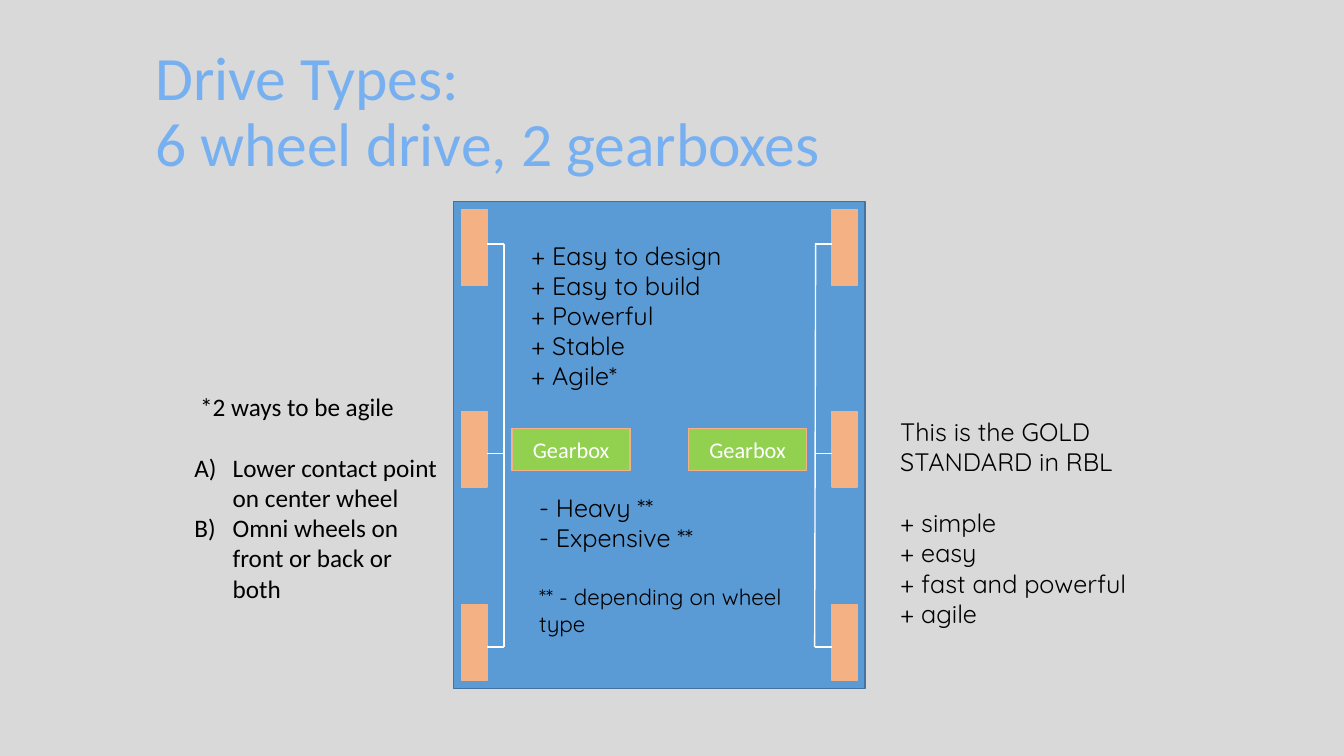
import pptx
import pptx.util
import pptx.dml.color
import pptx.enum.shapes
import pptx.enum.text
import pptx.oxml.ns
import lxml.etree

Inches = pptx.util.Inches
Pt = pptx.util.Pt
RGBColor = pptx.dml.color.RGBColor
Anchor = pptx.enum.text.MSO_ANCHOR
Align = pptx.enum.text.PP_ALIGN
qn = pptx.oxml.ns.qn

GREY = RGBColor(0xD9, 0xD9, 0xD9)
SKY = RGBColor(0x77, 0xB0, 0xF1)
BLUE = RGBColor(0x5B, 0x9B, 0xD5)
NAVY = RGBColor(0x43, 0x73, 0x9E)
PEACH = RGBColor(0xF4, 0xB1, 0x83)
GREEN = RGBColor(0x92, 0xD0, 0x50)
WHITE = RGBColor(0xFF, 0xFF, 0xFF)
BLACK = RGBColor(0x00, 0x00, 0x00)

deck = pptx.Presentation()
deck.slide_width = Inches(13.33)
deck.slide_height = Inches(7.5)
slide = deck.slides.add_slide(deck.slide_layouts[6])
slide.background.fill.solid()
slide.background.fill.fore_color.rgb = GREY
shapes = slide.shapes


def write(para, text, name, size, color):
    para.text = text
    for run in para.runs:
        run.font.color.rgb = color
        for key, value in {"name": name, "size": Pt(size)}.items():
            setattr(run.font, key, value)


def block(x, y, w, h, fill, edge):
    box = shapes.add_shape(pptx.enum.shapes.MSO_SHAPE.RECTANGLE,
                           Inches(x), Inches(y), Inches(w), Inches(h))
    box.shadow.inherit = False
    box.fill.solid()
    box.fill.fore_color.rgb = fill
    box.line.color.rgb = edge
    box.line.width = Pt(1)
    return box


title = shapes.add_textbox(Inches(0.92), Inches(0.4), Inches(11.5), Inches(1.45))
frame = title.text_frame
for key, value in {"word_wrap": True, "vertical_anchor": Anchor.MIDDLE,
                   "margin_left": Inches(0.62)}.items():
    setattr(frame, key, value)
head = frame.paragraphs[0]
head.line_spacing = 0.9
write(head, "Drive Types:\v6 wheel drive, 2 gearboxes", "Calibri", 44, SKY)

block(4.5, 2, 4.08, 4.83, BLUE, NAVY)
for x in (4.58, 8.25):
    for y in (2.08, 4.08, 6):
        block(x, y, 0.25, 0.75, PEACH, PEACH)

for x in (5.08, 6.83):
    box = block(x, 4.25, 1.17, 0.42, GREEN, PEACH)
    box.text_frame.vertical_anchor = Anchor.MIDDLE
    para = box.text_frame.paragraphs[0]
    para.alignment = Align.CENTER
    write(para, "Gearbox", "Calibri", 16, WHITE)

lines = [(x, y, x + 0.17, y) for x in (4.83, 8.08) for y in (2.42, 4.5, 6.42)]
lines += [(5, 2.42, 5, 6.42), (8.09, 2.42, 8.08, 6.42)]
for ends in lines:
    link = shapes.add_connector(pptx.enum.shapes.MSO_CONNECTOR.STRAIGHT,
                                *[Inches(end) for end in ends])
    link.line.color.rgb = WHITE
    link.line.width = Pt(1)
    props = link._element.spPr
    lxml.etree.SubElement(props, qn("a:effectLst"))

DASH = ("a:buChar", {"char": "-"}, 0)
ALPHA = ("a:buAutoNum", {"type": "alphaUcParenR"}, 0.38)
notes = [
    (5.17, 2.33, 1.62, "Quicksand", [
        ("+ Easy to design", {}),
        ("+ Easy to build", {}),
        ("+ Powerful", {}),
        ("+ Stable", {}),
        ("+ Agile*", {})]),
    (5.25, 4.83, 1.55, "Quicksand", [
        (" Heavy **", {"mark": DASH}),
        (" Expensive **", {"mark": DASH}),
        ("** - depending on wheel type", {"size": 16, "gap": 22})]),
    (1.83, 3.83, 2.52, "Calibri", [
        (" *2 ways to be agile", {}),
        ("Lower contact point on center wheel", {"mark": ALPHA, "gap": 22}),
        ("Omni wheels on front or back or both", {"mark": ALPHA})]),
    (8.83, 4.08, 2.22, "Quicksand", [
        ("This is the GOLD STANDARD in RBL", {}),
        ("+ simple", {"gap": 22}),
        ("+ easy", {}),
        ("+ fast and powerful", {}),
        ("+ agile", {})]),
]
for x, y, h, font, rows in notes:
    note = shapes.add_textbox(Inches(x), Inches(y), Inches(2.67), Inches(h))
    frame = note.text_frame
    for key, value in {"word_wrap": True,
                       "auto_size": pptx.enum.text.MSO_AUTO_SIZE.SHAPE_TO_FIT_TEXT}.items():
        setattr(frame, key, value)
    for i, (text, form) in enumerate(rows):
        para = frame.add_paragraph() if i else frame.paragraphs[0]
        write(para, text, font, form.get("size", 18), BLACK)
        para.space_before = Pt(form.get("gap", 0))
        if "mark" in form:
            tag, attrs, dent = form["mark"]
            props = para._p.get_or_add_pPr()
            props.set("marL", str(Inches(dent)))
            props.set("indent", str(-Inches(dent)))
            lxml.etree.SubElement(props, qn("a:buFont"), {"typeface": font})
            lxml.etree.SubElement(props, qn(tag), attrs)

deck.save("out.pptx")
